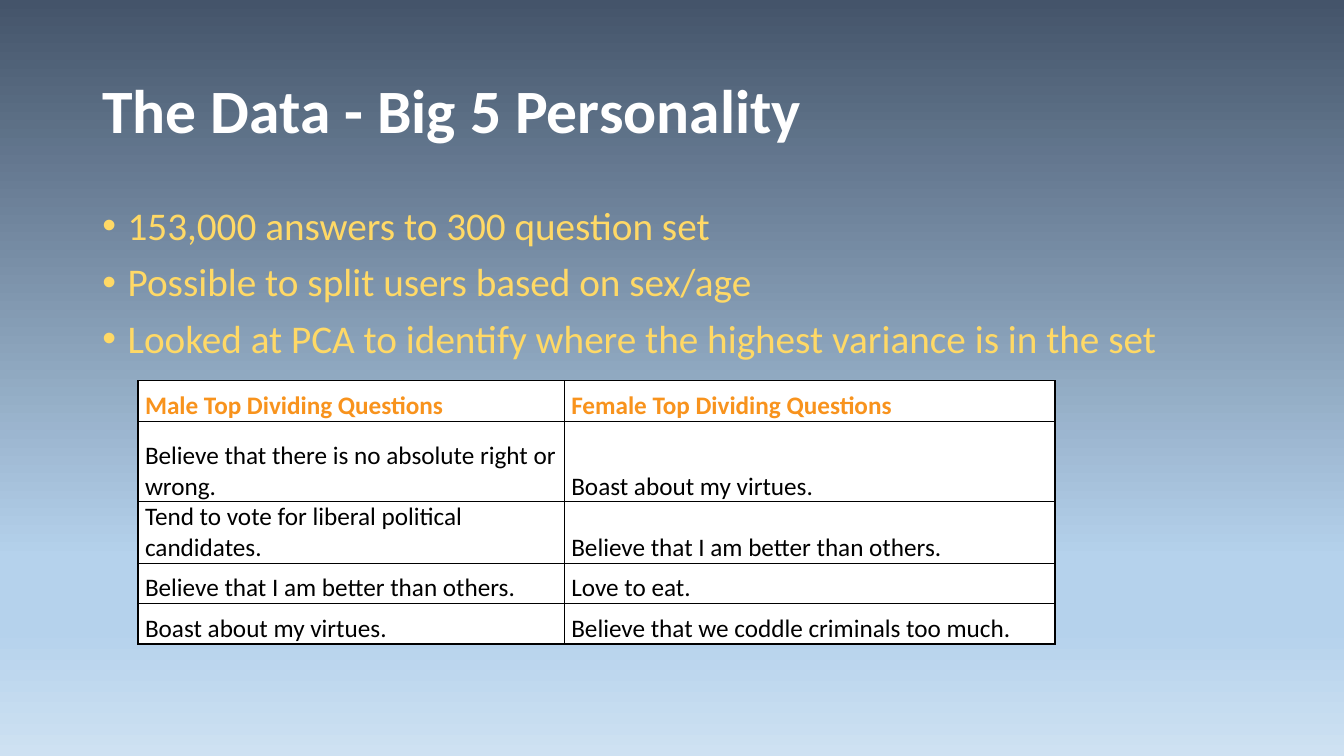
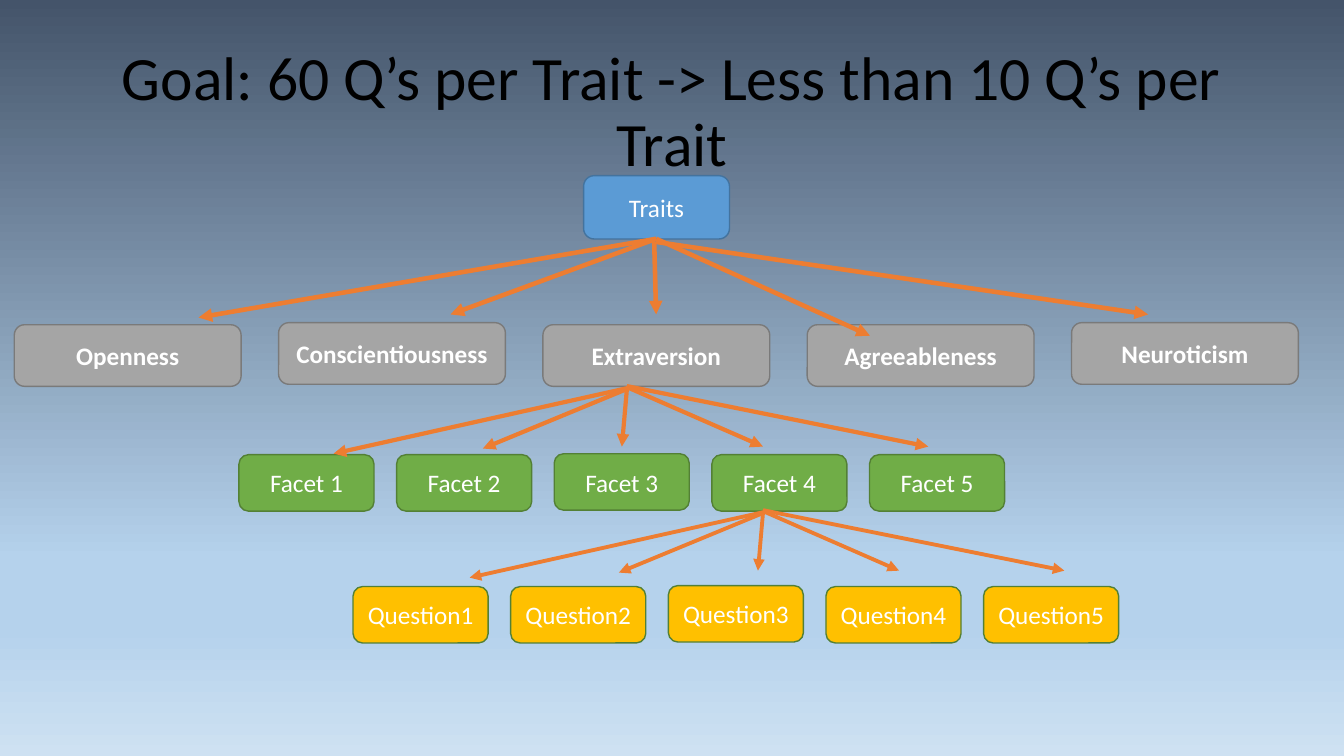
from copy import deepcopy

from lxml.etree import SubElement
from pptx import Presentation
from pptx.dml.color import RGBColor
from pptx.enum.shapes import MSO_CONNECTOR as Connector, MSO_SHAPE as Shape
from pptx.enum.text import MSO_ANCHOR as Anchor, MSO_AUTO_SIZE as AutoSize, PP_ALIGN as Align
from pptx.oxml import parse_xml
from pptx.oxml.ns import nsdecls, qn
from pptx.util import Pt

COLORS = {
    "white": "FFFFFF", "black": "000000", "bullet": "FFD966", "heading": "F8931D",
    "arrow": "ED7D31", "root": "5B9BD5", "root_edge": "43739E",
    "trait": "A5A5A5", "trait_edge": "7A7A7A",
    "facet": "70AD47", "facet_edge": "538035", "question": "FFC000",
    "sky_top": "44546A", "sky": "B5D2EC", "sky_bottom": "CEE1F2",
}
SKY_STOPS = [(0, "sky_top"), (0.74, "sky"), (0.83, "sky"), (1, "sky_bottom")]
TITLE_AREA = (66, 28.8, 828, 104.4)
BODY_AREA = (66, 144, 828, 342.72)


def color(name):
    return RGBColor.from_string(COLORS[name])


def place(item, area):
    item.left, item.top, item.width, item.height = map(Pt, area)


class SlideBuilder:
    font = "Calibri"
    text_size = 18

    def __init__(self):
        self.deck = Presentation()
        self.deck.slide_width, self.deck.slide_height = Pt(960), Pt(540)
        self.page = None
        self.paint_background()

    def paint_background(self):
        master = self.deck.slide_master
        fill = master.background.fill
        fill.gradient()
        fill.gradient_angle = 270
        stop_list = next(master.element.iter(qn("a:gsLst")))
        while len(stop_list) < len(SKY_STOPS):
            stop_list.append(deepcopy(stop_list[0]))
        for stop, (position, name) in zip(fill.gradient_stops, SKY_STOPS):
            stop.position = position
            stop.color.rgb = color(name)

    def start_page(self, layout):
        self.page = self.deck.slides.add_slide(self.deck.slide_layouts.get_by_name(layout))

    def format_text(self, para, name, size=text_size, bold=False):
        for span in para.runs:
            span.font.name = self.font
            span.font.size = Pt(size)
            span.font.bold = bold
            span.font.color.rgb = color(name)

    def title(self, text, name, align, bold=False):
        box = self.page.shapes.title
        place(box, TITLE_AREA)
        box.text_frame.text = text
        box.text_frame.auto_size = AutoSize.NONE
        box.text_frame.vertical_anchor = Anchor.MIDDLE
        para = box.text_frame.paragraphs[0]
        para.alignment = align
        para.line_spacing = 0.9
        self.format_text(para, name, 44, bold)

    def bullets(self, lines):
        box = self.page.placeholders[1]
        place(box, BODY_AREA)
        box.text_frame.text = "\n".join(lines)
        box.text_frame.auto_size = AutoSize.NONE
        for para in box.text_frame.paragraphs:
            para.line_spacing = 0.9
            para.space_before = Pt(10)
            self.format_text(para, "bullet", 28)
            properties = para.runs[0].font and next(box.element.iter(qn("a:pPr")))
        for properties in box.element.iter(qn("a:pPr")):
            properties.set("marL", str(Pt(18)))
            properties.set("indent", str(Pt(-18)))

    def table(self, left, top, widths, heights, rows):
        frame = self.page.shapes.add_table(
            len(rows), len(widths), Pt(left), Pt(top), Pt(sum(widths)), Pt(sum(heights)))
        table = frame.table
        table.horz_banding = False
        for column, width in zip(table.columns, widths):
            column.width = Pt(width)
        for row, height, texts in zip(table.rows, heights, rows):
            row.height = Pt(height)
            is_heading = texts is rows[0]
            for cell, text in zip(row.cells, texts):
                cell.text_frame.text = text
                cell.vertical_anchor = Anchor.BOTTOM
                cell.margin_left = cell.margin_right = Pt(5)
                cell.margin_top = cell.margin_bottom = 0
                cell.fill.solid()
                cell.fill.fore_color.rgb = color("white")
                self.format_text(cell.text_frame.paragraphs[0],
                                 "heading" if is_heading else "black", bold=is_heading)
        for properties in frame.element.iter(qn("a:tcPr")):
            for index, side in enumerate("LRTB"):
                properties.insert(index, parse_xml(
                    f'<a:ln{side} {nsdecls("a")} w="{Pt(1)}"><a:solidFill>'
                    f'<a:srgbClr val="{COLORS["black"]}"/></a:solidFill></a:ln{side}>'))

    def node(self, text, area, fill, edge, kind=Shape.ROUNDED_RECTANGLE, bold=False):
        box = self.page.shapes.add_shape(kind, *map(Pt, area))
        box.shadow.inherit = False
        box.fill.solid()
        box.fill.fore_color.rgb = color(fill)
        box.line.color.rgb = color(edge)
        box.line.width = Pt(1)
        box.text_frame.text = text
        box.text_frame.vertical_anchor = Anchor.MIDDLE
        para = box.text_frame.paragraphs[0]
        para.alignment = Align.CENTER
        self.format_text(para, "white", bold=bold)

    def node_row(self, texts, area, pitch, raised, lift, **style):
        left, top, width, height = area
        for index, text in enumerate(texts):
            y = top - lift if index in raised else top
            self.node(text, (left + index * pitch, y, width, height), **style)

    def arrows(self, ends, weight, shift=(0, 0)):
        dx, dy = shift
        for x1, y1, x2, y2 in ends:
            arrow = self.page.shapes.add_connector(
                Connector.STRAIGHT, Pt(x1 + dx), Pt(y1 + dy), Pt(x2 + dx), Pt(y2 + dy))
            arrow.line.color.rgb = color("arrow")
            arrow.line.width = Pt(weight)
            properties = arrow.element.spPr
            SubElement(properties.find(qn("a:ln")), qn("a:tailEnd"), type="triangle")
            SubElement(properties, qn("a:effectLst"))


def build_data_page(builder):
    builder.start_page("Title and Content")
    builder.title("The Data - Big 5 Personality", "white", Align.LEFT, bold=True)
    builder.bullets([
        "153,000 answers to 300 question set",
        "Possible to split users based on sex/age",
        "Looked at PCA to identify where the highest variance is in the set",
    ])
    builder.table(98.6, 272, [304.5, 350.5], [28.8, 57.6, 28.8, 28.8, 28.8], [
        ("Male Top Dividing Questions", "Female Top Dividing Questions"),
        ("Believe that there is no absolute right or wrong.", "Boast about my virtues."),
        ("Tend to vote for liberal political candidates.", "Believe that I am better than others."),
        ("Believe that I am better than others.", "Love to eat."),
        ("Boast about my virtues.", "Believe that we coddle criminals too much."),
    ])


def build_goal_page(builder):
    builder.start_page("Title Only")
    builder.title("Goal: 60 Q’s per Trait -> Less than 10 Q’s per Trait", "black", Align.CENTER)
    builder.node("Traits", (416.9, 125.5, 104.2, 45.2), "root", "root_edge",
                 Shape.FLOWCHART_ALTERNATE_PROCESS)
    traits = ["Openness", "Conscientiousness", "Extraversion", "Agreeableness", "Neuroticism"]
    builder.node_row(traits, (10.2, 232, 162, 44), 188.8, (1, 4), 1.5,
                     fill="trait", edge="trait_edge",
                     kind=Shape.FLOWCHART_ALTERNATE_PROCESS, bold=True)
    builder.arrows([
        (468.7, 170.6, 141.8, 226.8),
        (468.7, 170.6, 321.8, 224.6),
        (467.3, 172.8, 468.7, 224.6),
        (468.7, 170.6, 621.4, 239.8),
        (468.7, 172.8, 820.1, 224.6),
    ], 3.25)

    fan = [
        (451.4, 276.5, 238.3, 324),
        (447.8, 277.9, 344.9, 320.4),
        (447.8, 277.9, 444.2, 319),
        (447.8, 276.5, 545, 319),
        (447.8, 275.8, 663.1, 319),
    ]
    levels = [
        ("Facet ", "facet", 170.7, 324.8, 3, (0, 0)),
        ("Question", "question", 252.2, 419, 2.75, (97.2, 88.6)),
    ]
    for label, fill, left, top, weight, shift in levels:
        texts = [f"{label}{number}" for number in range(1, 6)]
        builder.node_row(texts, (left, top, 96.5, 40.3), 112.6, (2,), 0.7,
                         fill=fill, edge="facet_edge")
        builder.arrows(fan, weight, shift)


def main():
    builder = SlideBuilder()
    build_data_page(builder)
    build_goal_page(builder)
    builder.deck.save("out.pptx")


if __name__ == "__main__":
    main()
